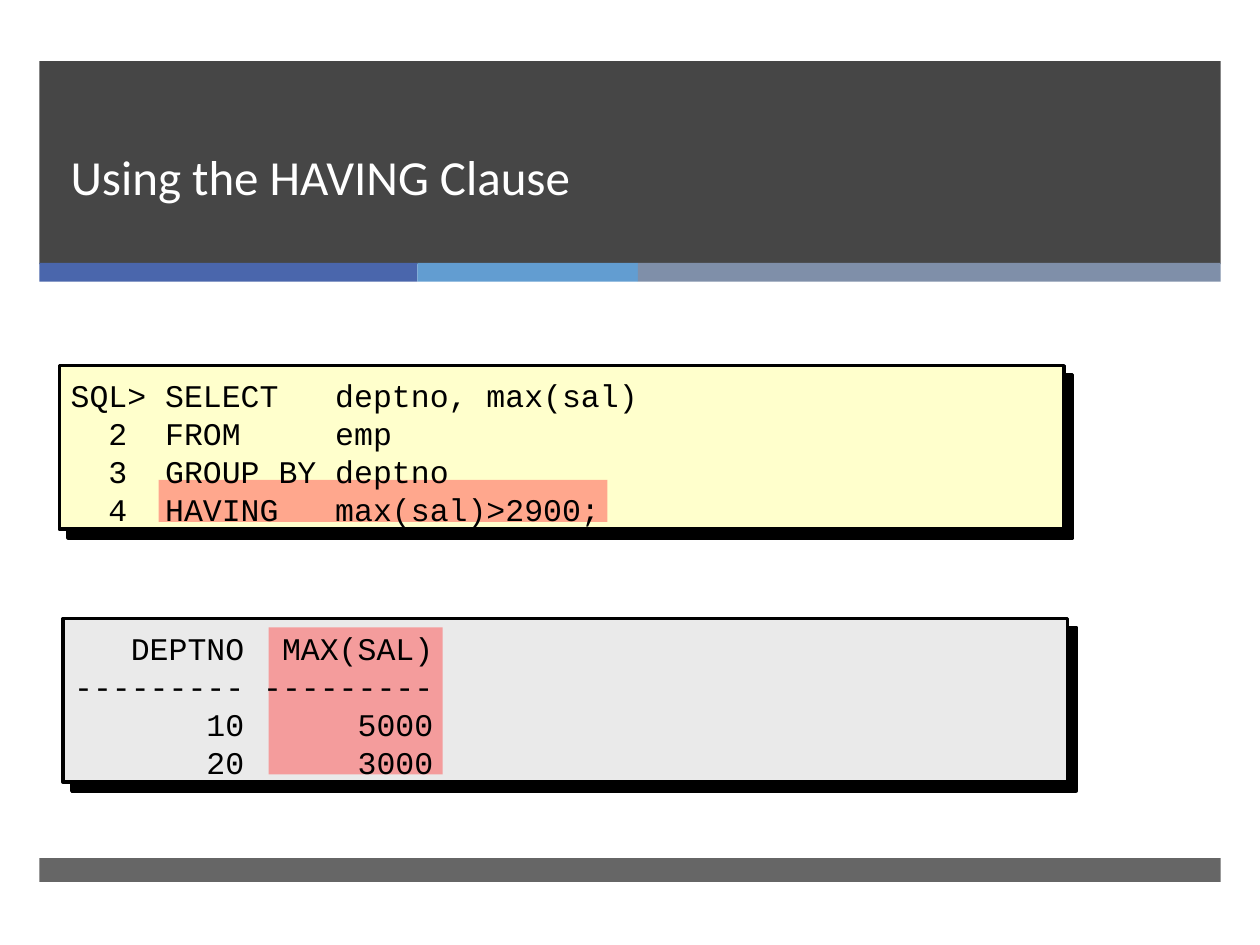
from lxml import etree
from pptx import Presentation
from pptx.dml.color import RGBColor
from pptx.enum.shapes import MSO_SHAPE as Shape
from pptx.enum.text import MSO_ANCHOR as Anchor, MSO_AUTO_SIZE as AutoSize, PP_ALIGN as Align
from pptx.oxml.ns import qn
from pptx.util import Pt

BAND_LEFT, BAND_WIDTH = 22.5, 675
PANEL_WIDTH, PANEL_HEIGHT = 574, 93.5
HIGHLIGHT = "FF5050"

QUERY = [
    "SQL> SELECT   deptno, max(sal)",
    "  2  FROM     emp",
    "  3  GROUP BY deptno",
    "  4  HAVING   max(sal)>2900;",
]
RESULT = [
    "   DEPTNO  MAX(SAL)",
    "--------- ---------",
    "       10      5000",
    "       20      3000",
]


def paint(color_format, color):
    color_format.rgb = RGBColor.from_string(color)


def add_rectangle(slide, left, top, width, height, color, opacity=100):
    shape = slide.shapes.add_shape(
        Shape.RECTANGLE, Pt(left), Pt(top), Pt(width), Pt(height))
    shape.shadow.inherit = False
    shape.fill.solid()
    paint(shape.fill.fore_color, color)
    shape.line.fill.background()
    if opacity < 100:
        fill_color = shape.element.spPr.find(qn("a:solidFill"))[0]
        etree.SubElement(fill_color, qn("a:alpha"), val=str(opacity * 1000))
    return shape


def add_hard_shadow(shape):
    """Add a black, unblurred shadow to the lower right."""
    effects = shape.element.spPr.find(qn("a:effectLst"))
    shadow = etree.SubElement(
        effects, qn("a:outerShdw"), dist=str(Pt(7.1)), dir=str(45 * 60000),
        algn="ctr", rotWithShape="0")
    etree.SubElement(shadow, qn("a:srgbClr"), val="000000")


def format_runs(paragraph, font_name, size, color):
    for run in paragraph.runs:
        run.font.name = font_name
        run.font.size = Pt(size)
        paint(run.font.color, color)


def add_header(slide, left, top, width, text):
    add_rectangle(slide, left, top, width, 116, "262626", 85)
    stripe_left = left
    for stripe_width, color in ((216, "4A66AC"), (126, "629DD1"), (333, "7F8FA9")):
        add_rectangle(slide, stripe_left, top + 115.25, stripe_width, 10.75, color)
        stripe_left += stripe_width

    title = slide.shapes.title
    title.left, title.top = Pt(left + 10.6), Pt(top)
    title.width, title.height = Pt(615), Pt(85.7)
    title.element.getparent().append(title.element)  # in front of the bands
    frame = title.text_frame
    frame.text = text
    frame.auto_size = AutoSize.NONE
    frame.vertical_anchor = Anchor.BOTTOM
    paragraph = frame.paragraphs[0]
    paragraph.alignment = Align.LEFT
    paragraph.line_spacing = Pt(46)
    format_runs(paragraph, "Calibri", 28, "FFFFFF")


def add_code_panel(slide, left, top, color, lines, highlight):
    """Place a framed panel; highlight is a box relative to its corner."""
    panel = add_rectangle(slide, left, top, PANEL_WIDTH, PANEL_HEIGHT, color)
    paint(panel.line.color, "000000")
    panel.line.width = Pt(2)
    add_hard_shadow(panel)

    x, y, width, height = highlight
    add_rectangle(slide, left + x, top + y, width, height, HIGHLIGHT, 50)

    text_box = slide.shapes.add_textbox(
        Pt(left - 0.7), Pt(top - 0.8), Pt(PANEL_WIDTH + 2), Pt(PANEL_HEIGHT + 2.3))
    frame = text_box.text_frame
    frame.text = "\n".join(lines)
    frame.word_wrap = True
    frame.vertical_anchor = Anchor.MIDDLE
    frame.margin_top, frame.margin_bottom = Pt(5.6), Pt(1.6)
    for paragraph in frame.paragraphs:
        paragraph.line_spacing = Pt(21.7)
        format_runs(paragraph, "Courier New", 18, "000000")


def main():
    presentation = Presentation()
    presentation.slide_width, presentation.slide_height = Pt(720), Pt(540)
    slide = presentation.slides.add_slide(presentation.slide_layouts[5])

    add_header(slide, BAND_LEFT, 35, BAND_WIDTH, "Using the HAVING Clause")
    add_code_panel(slide, 34, 209, "FFFFCC", QUERY, (56.6, 65.2, 256.5, 24))
    add_code_panel(slide, 36, 353.5, "EAEAEA", RESULT, (117.5, 5, 99.5, 84))
    add_rectangle(slide, BAND_LEFT, 490.3, BAND_WIDTH, 13.7, "262626", 70)

    presentation.save("out.pptx")


if __name__ == "__main__":
    main()
